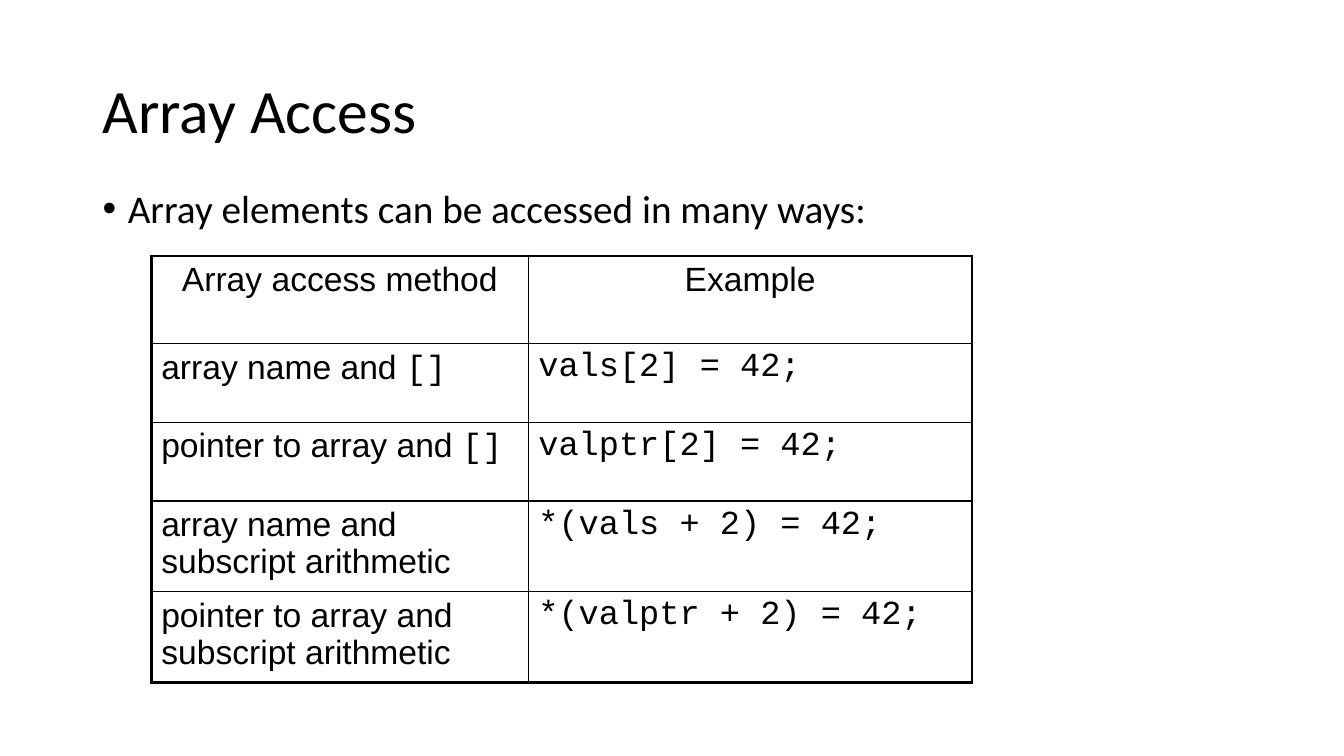
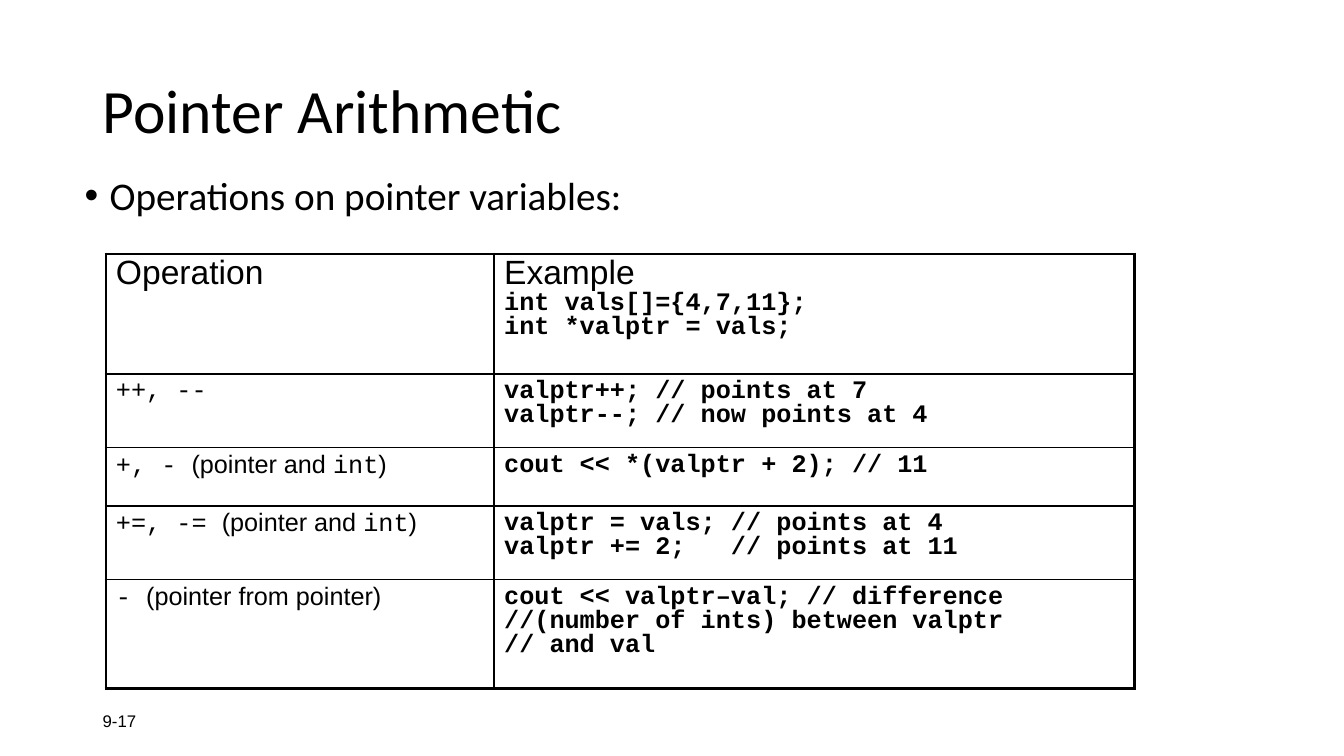
from dataclasses import dataclass

from lxml import etree
from pptx import Presentation
from pptx.dml.color import RGBColor
from pptx.enum import text as txt
from pptx.oxml.ns import qn
from pptx.util import Inches, Pt

# Shared look
INK = "000000"
PAPER = "FFFFFF"
HEAD, BODY, CODE = "Calibri", "Arial", "Courier New"
THICK, THIN = 2.25, 1


@dataclass
class Grid:
    """A two-column table; text between backticks is code."""
    left: float
    top: float
    cols: list[float]
    rows: list[float]
    cells: list[tuple[str, str]]
    size: int
    align: txt.PP_ALIGN = txt.PP_ALIGN.LEFT
    lead: float | None = None
    bold: bool = False


@dataclass
class Page:
    title: str
    point: str
    left: float
    top: float
    grid: Grid
    number: str = ""


def tint(code: str) -> RGBColor:
    return RGBColor.from_string(code)


def style(run, face: str, size: float, bold: bool = False) -> None:
    font = run.font
    font.name, font.size, font.bold = face, Pt(size), bold
    font.color.rgb = tint(INK)


def label(slide, words: str, box: tuple, face: str, size: float,
          lead: float | None = None, middle: bool = True):
    """Add a one-line text box and return its paragraph."""
    frame = slide.shapes.add_textbox(*map(Inches, box)).text_frame
    frame.word_wrap = True
    if middle:
        frame.vertical_anchor = txt.MSO_ANCHOR.MIDDLE
    frame.text = words
    para = frame.paragraphs[0]
    para.line_spacing = lead
    style(para.runs[0], face, size)
    return para


def bullet(para) -> None:
    props = para._p.get_or_add_pPr()
    props.set("marL", str(Inches(0.25)))
    props.set("indent", str(Inches(-0.25)))
    etree.SubElement(props, qn("a:buFont"), typeface=BODY)
    etree.SubElement(props, qn("a:buChar"), char="•")


def border(cell, widths: dict[str, float]) -> None:
    props = cell._tc.get_or_add_tcPr()
    for side, width in widths.items():
        line = etree.SubElement(props, qn(f"a:ln{side}"), w=str(Pt(width)))
        fill = etree.SubElement(line, qn("a:solidFill"))
        etree.SubElement(fill, qn("a:srgbClr"), val=INK)


def write(cell, words: str, grid: Grid, row: int, col: int) -> None:
    """Fill a cell, switching to the code font between backticks."""
    cell.text_frame.text = words.replace("`", "")
    for i, line in enumerate(words.split("\n")):
        para = cell.text_frame.paragraphs[i]
        para.line_spacing = grid.lead
        first = row == 0 and i == 0
        para.alignment = grid.align if first else txt.PP_ALIGN.LEFT
        para.text = ""
        for j, part in enumerate(line.split("`")):
            if part:
                run = para.add_run()
                run.text = part
                is_code = j % 2 == 1
                style(run, CODE if is_code else BODY,
                      24 if first else grid.size,
                      grid.bold and is_code and col == 1)


def draw_grid(slide, grid: Grid) -> None:
    last_row, last_col = len(grid.rows) - 1, len(grid.cols) - 1
    table = slide.shapes.add_table(
        len(grid.rows), len(grid.cols), Inches(grid.left), Inches(grid.top),
        Inches(sum(grid.cols)), Inches(sum(grid.rows))).table
    table.first_row = table.horz_banding = False
    for col, width in zip(table.columns, grid.cols):
        col.width = Inches(width)
    for row, height in zip(table.rows, grid.rows):
        row.height = Inches(height)
    for r, texts in enumerate(grid.cells):
        for c, words in enumerate(texts):
            cell = table.cell(r, c)
            write(cell, words, grid, r, c)
            border(cell, {"L": THIN if c else THICK,
                          "R": THICK if c == last_col else THIN,
                          "T": THIN if r else THICK,
                          "B": THICK if r == last_row else THIN})
            cell.fill.background()


def draw_page(deck, page: Page) -> None:
    slide = deck.slides.add_slide(deck.slide_layouts[6])
    slide.background.fill.solid()
    slide.background.fill.fore_color.rgb = tint(PAPER)
    label(slide, page.title, (0.92, 0.4, 11.5, 1.45), HEAD, 44, 0.9)
    bullet(label(slide, page.point, (page.left, page.top, 11.5, 0.6),
                 HEAD, 28, 0.9, middle=False))
    if page.number:
        label(slide, page.number, (0.92, 6.95, 3, 0.4), BODY, 12)
    draw_grid(slide, page.grid)


# Content
ACCESS = Grid(
    1.5, 2.54, [3.74, 4.4], [0.87, 0.78, 0.78, 0.85, 0.85],
    [("Array access method", "Example"),
     ("array name and `[]`", "`vals[2] = 42;`"),
     ("pointer to array and `[]`", "`valptr[2] = 42;`"),
     ("array name and subscript arithmetic", "`*(vals + 2) = 42;`"),
     ("pointer to array and subscript arithmetic", "`*(valptr + 2) = 42;`")],
    size=24, align=txt.PP_ALIGN.CENTER)

MATH = Grid(
    1.05, 2.52, [3.85, 6.35], [1.19, 0.73, 0.58, 0.73, 1.08],
    [("Operation",
      "Example\n`int vals[]={4,7,11};`\n`int *valptr = vals;`"),
     ("`++, --`",
      "`valptr++; // points at 7`\n`valptr--; // now points at 4`"),
     ("`+, - `(pointer and `int`)", "`cout << *(valptr + 2); // 11`"),
     ("`+=, -= `(pointer and `int`)",
      "`valptr = vals; // points at 4`\n`valptr += 2;   // points at 11`"),
     ("`- `(pointer from pointer)",
      "`cout << valptr–val; // difference`\n"
      "`//(number of ints) between valptr`\n`// and val`")],
    size=18, lead=0.85, bold=True)

PAGES = [
    Page("Array Access", "Array elements can be accessed in many ways:",
         0.92, 1.83, ACCESS),
    Page("Pointer Arithmetic", "Operations on pointer variables:",
         0.74, 1.7, MATH, "9-17"),
]


def main() -> None:
    deck = Presentation()
    deck.slide_width, deck.slide_height = Inches(13.33), Inches(7.5)
    for page in PAGES:
        draw_page(deck, page)
    deck.save("out.pptx")


if __name__ == "__main__":
    main()
